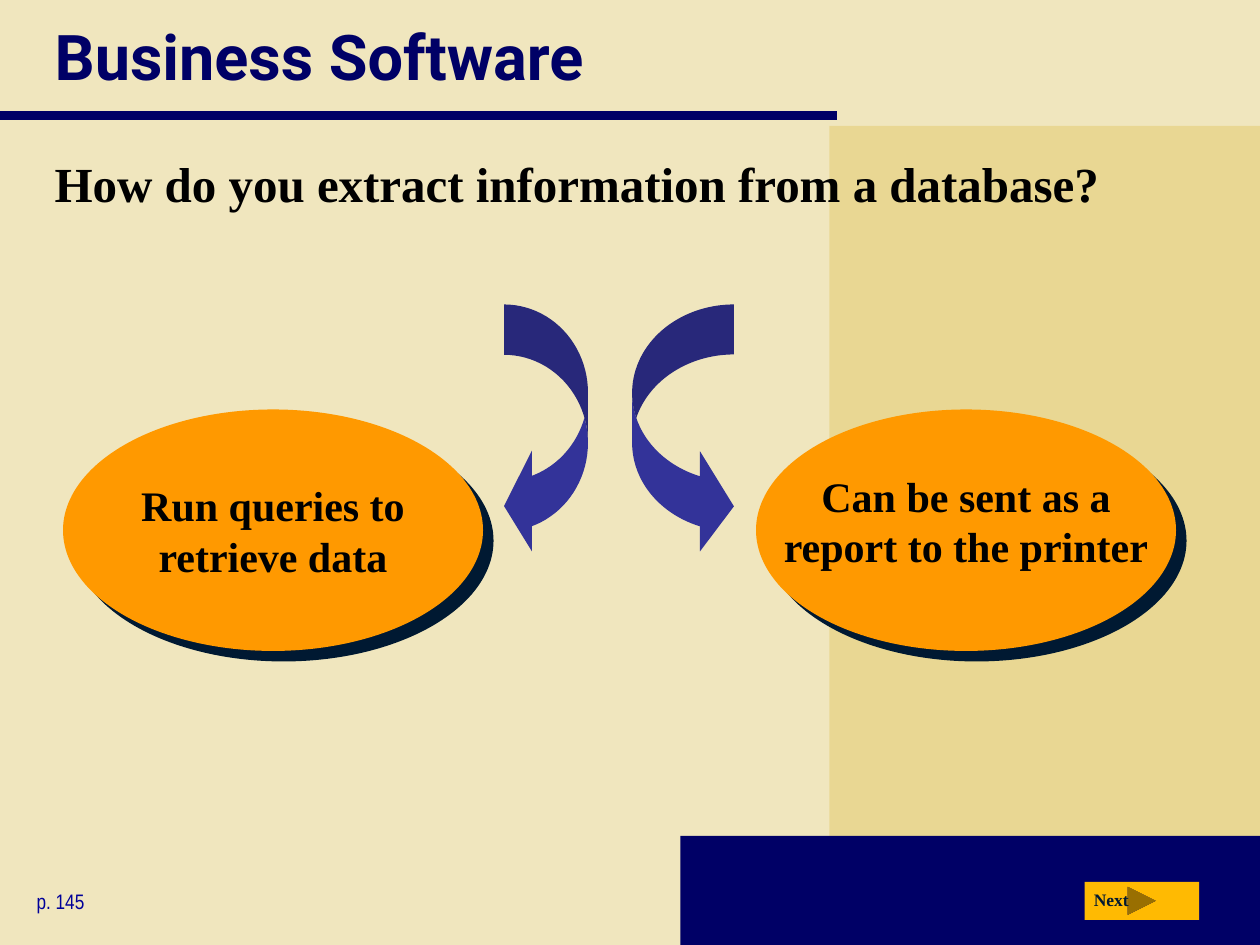
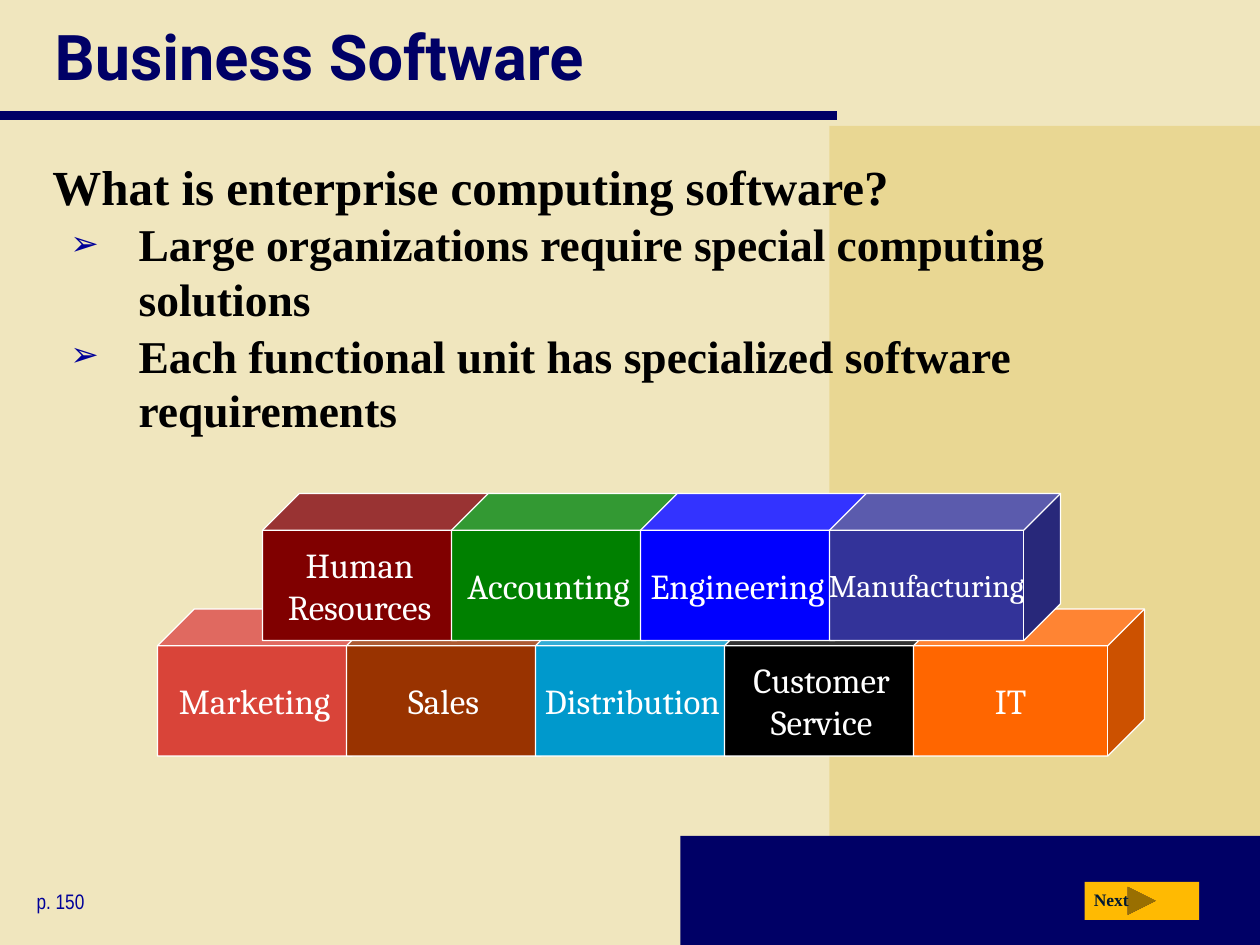
from dataclasses import dataclass

from lxml import etree
from pptx import Presentation
from pptx import util as u
from pptx.dml.color import RGBColor
from pptx.enum import shapes, text
from pptx.oxml import ns

EMU_PER_PX = 7620  # 120 px to the inch
KIND = shapes.MSO_SHAPE


@dataclass(frozen=True)
class Theme:
    paper: str = "F0E6BE"
    panel: str = "E9D793"
    navy: str = "000066"
    accent: str = "000099"
    arrow: str = "333399"
    oval: str = "FF9900"
    button: str = "FFBA02"
    shadow: str = "001932"
    ink: str = "000000"
    white: str = "FFFFFF"
    title_font: str = "Roboto"
    body_font: str = "Times New Roman"
    page_font: str = "Arial Narrow"
    cube_font: str = "Cambria"
    title_size: int = 36
    heading_size: int = 28
    list_size: int = 26
    oval_size: int = 24
    cube_size: int = 20
    cube_small_size: int = 18
    page_size: int = 12
    button_size: int = 10


THEME = Theme()


def px(*lengths):
    return [u.Emu(length * EMU_PER_PX) for length in lengths]


def rgb(color):
    return RGBColor.from_string(color)


# Text
def style_text(frame, font, size, color, bold=False, align=text.PP_ALIGN.LEFT):
    for para in frame.paragraphs:
        para.alignment = align
        for span in para.runs:
            span.font.name = font
            span.font.size = u.Pt(size)
            span.font.bold = bold
            span.font.color.rgb = rgb(color)


def add_label(container, words, at, font, size, color, **style):
    box = container.add_textbox(*px(*at))
    frame = box.text_frame
    frame.word_wrap = True
    frame.auto_size = text.MSO_AUTO_SIZE.SHAPE_TO_FIT_TEXT
    frame.text = words
    style_text(frame, font, size, color, **style)


def fill_placeholder(holder, words, at, font, size, color):
    holder.left, holder.top, holder.width, holder.height = px(*at)
    frame = holder.text_frame
    frame.auto_size = text.MSO_AUTO_SIZE.NONE
    frame.text = words
    style_text(frame, font, size, color, bold=True)
    return frame


def set_indent(para, margin, hanging):
    props = para._p.get_or_add_pPr()
    props.set("marL", str(margin * EMU_PER_PX))
    props.set("indent", str(-hanging * EMU_PER_PX))
    return props


def add_heading(holder, words, at):
    frame = fill_placeholder(holder, words, at, THEME.body_font, THEME.heading_size, THEME.ink)
    para = frame.paragraphs[0]
    etree.SubElement(set_indent(para, 70, 70), ns.qn("a:buNone"))
    para.space_before = u.Pt(0)


def add_bullets(holder, items, at):
    frame = fill_placeholder(holder, "\n".join(items), at,
                             THEME.body_font, THEME.list_size, THEME.ink)
    for index, para in enumerate(frame.paragraphs):
        para.level = 1
        props = set_indent(para, 80, 65)
        color = etree.SubElement(props, ns.qn("a:buClr"))
        etree.SubElement(color, ns.qn("a:srgbClr"), val=THEME.accent)
        etree.SubElement(props, ns.qn("a:buSzPct"), val="75000")
        etree.SubElement(props, ns.qn("a:buChar"), char="➢")
        para.space_before = u.Pt(1.3 if index else 0)


# Shapes
def add_filled(container, kind, at, color, adjustments=()):
    shape = container.add_shape(kind, *px(*at))
    shape.shadow.inherit = False
    shape.fill.solid()
    shape.fill.fore_color.rgb = rgb(color)
    shape.line.fill.background()
    for index, value in enumerate(adjustments):
        shape.adjustments[index] = value
    return shape


def add_oval(page, words, left, text_top):
    group = page.shapes.add_group_shape()
    oval = add_filled(group.shapes, KIND.OVAL, (left, 390, 400, 230), THEME.oval)
    effects = oval.element.spPr.find(ns.qn("a:effectLst"))
    shadow = etree.SubElement(effects, ns.qn("a:outerShdw"), dist=str(u.Pt(8.5)),
                              dir="2700000", algn="ctr", rotWithShape="0")
    etree.SubElement(shadow, ns.qn("a:srgbClr"), val=THEME.shadow)
    add_label(group.shapes, words, (left, text_top, 400, 108), THEME.body_font,
              THEME.oval_size, THEME.ink, bold=True, align=text.PP_ALIGN.CENTER)


def add_cube_row(page, cubes, left, top):
    for index, (words, color, size) in enumerate(cubes):
        cube = add_filled(page.shapes, KIND.CUBE, (left + 180 * index, top, 220, 140),
                          color, [0.25])
        cube.line.color.rgb = rgb(THEME.white)
        cube.line.width = u.Pt(0.75)
        frame = cube.text_frame
        frame.word_wrap = False
        frame.vertical_anchor = text.MSO_ANCHOR.MIDDLE
        frame.text = words
        style_text(frame, THEME.cube_font, size, THEME.white, align=text.PP_ALIGN.CENTER)


# Parts shared by all pages
def dress_master(deck, page):
    """Draw the bands and the title rule, then move them to the master."""
    master = deck.slide_master
    master.background.fill.solid()
    master.background.fill.fore_color.rgb = rgb(THEME.paper)
    panel = add_filled(page.shapes, KIND.RECTANGLE, (790, 120, 410, 780), THEME.panel)
    footer = add_filled(page.shapes, KIND.RECTANGLE, (648, 796, 552, 104), THEME.navy)
    rule = page.shapes.add_connector(shapes.MSO_CONNECTOR.STRAIGHT, *px(0, 110, 797, 110))
    rule.line.color.rgb = rgb(THEME.navy)
    rule.line.width = u.Pt(5)
    etree.SubElement(rule.element.spPr, ns.qn("a:effectLst"))
    for index, part in enumerate((panel, footer, rule)):
        part.element.xpath(".//p:cNvPr")[0].set("id", str(100 + index))
        master.shapes.element.insert(2 + index, part.element)


def add_page(deck, layout_index, page_number):
    page = deck.slides.add_slide(deck.slide_layouts[layout_index])
    title = fill_placeholder(page.shapes.title, "Business Software", (40, 0, 1127, 106),
                             THEME.title_font, THEME.title_size, THEME.navy)
    title.vertical_anchor = text.MSO_ANCHOR.MIDDLE
    add_label(page.shapes, f"p. {page_number}", (23, 840, 157, 36),
              THEME.page_font, THEME.page_size, THEME.accent)
    button = page.shapes.add_group_shape()
    add_filled(button.shapes, KIND.ACTION_BUTTON_FORWARD_OR_NEXT,
               (1033, 840, 109, 36), THEME.button)
    add_label(button.shapes, "Next", (1030, 841, 61, 32), THEME.body_font,
              THEME.button_size, THEME.shadow, bold=True)
    return page


def main():
    deck = Presentation()
    deck.slide_width, deck.slide_height = px(1200, 900)

    # Extracting information
    page = add_page(deck, 1, 145)
    dress_master(deck, page)
    add_heading(page.placeholders[1], "How do you extract information from a database?",
                (40, 140, 1127, 624))
    add_filled(page.shapes, KIND.CURVED_LEFT_ARROW, (480, 290, 80, 240),
               THEME.arrow, [0.6, 1.2, 0.333])
    add_filled(page.shapes, KIND.CURVED_RIGHT_ARROW, (602, 290, 97, 240),
               THEME.arrow, [0.491, 0.983, 0.333])
    add_oval(page, "Can be sent as a report to the printer", 720, 442)
    add_oval(page, "Run queries to retrieve data", 60, 451)

    # Enterprise computing
    page = add_page(deck, 3, 150)
    add_heading(page.placeholders[1], "What is enterprise computing software?",
                (38, 143, 1127, 77))
    add_bullets(page.placeholders[2],
                ["Large organizations require special computing solutions",
                 "Each functional unit has specialized software requirements"],
                (40, 200, 1030, 150))
    size = THEME.cube_size
    add_cube_row(page, [("Marketing", "D94439", size),
                        ("Sales", "993300", size),
                        ("Distribution", "0099CC", size),
                        ("Customer\vService", "000000", size),
                        ("IT", "FF6600", size)], 150, 580)
    add_cube_row(page, [("Human\vResources", "800000", size),
                        ("Accounting", "008000", size),
                        ("Engineering", "0000FF", size),
                        ("Manufacturing", "333399", THEME.cube_small_size)], 250, 470)

    deck.save("out.pptx")


if __name__ == "__main__":
    main()
